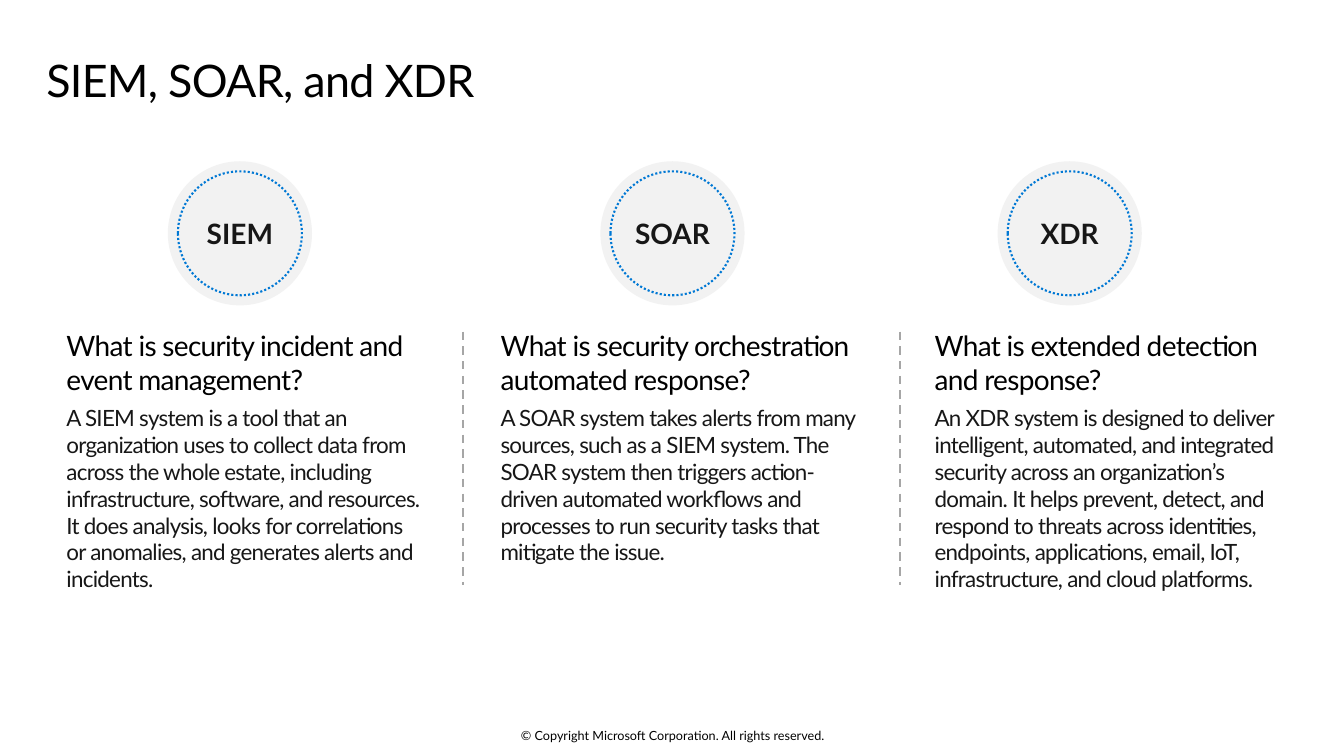
from lxml import etree
from pptx import Presentation
from pptx.dml.color import RGBColor
from pptx.enum.dml import MSO_LINE
from pptx.enum.shapes import MSO_CONNECTOR, MSO_SHAPE
from pptx.enum.text import MSO_ANCHOR, PP_ALIGN
from pptx.oxml.ns import qn
from pptx.util import Inches, Pt

OVAL = MSO_SHAPE.OVAL
STRAIGHT = MSO_CONNECTOR.STRAIGHT
DOTTED, DASHED = MSO_LINE.ROUND_DOT, MSO_LINE.DASH
TOP, MIDDLE = MSO_ANCHOR.TOP, MSO_ANCHOR.MIDDLE
LEFT, CENTER = PP_ALIGN.LEFT, PP_ALIGN.CENTER

# Content
TITLE = "SIEM, SOAR, and XDR"
COPYRIGHT = "© Copyright Microsoft Corporation. All rights reserved."
# Label, badge centre, heading, explanation
TOPICS = [
    ("SIEM", 2.38, "What is security incident and event management?",
     "A SIEM system is a tool that an organization uses to collect data from "
     "across the whole estate, including infrastructure, software, and resources. "
     "It does analysis, looks for correlations or anomalies, and generates alerts "
     "and incidents."),
    ("SOAR", 6.67, "What is security orchestration automated response?",
     "A SOAR system takes alerts from many sources, such as a SIEM system. The SOAR "
     "system then triggers action-driven automated workflows and processes to run "
     "security tasks that mitigate the issue."),
    ("XDR", 10.61, "What is extended detection and response?",
     "An XDR system is designed to deliver intelligent, automated, and integrated "
     "security across an organization’s domain. It helps prevent, detect, and "
     "respond to threats across identities, endpoints, applications, email, IoT, "
     "infrastructure, and cloud platforms."),
]

# Style and layout
FONT = "Lato"
BLACK, INK, PALE, BLUE, GREY = "000000", "171717", "F2F2F2", "0078D4", "A6A6A6"
COLUMN_LEFT, COLUMN_STEP, COLUMN_WIDTH = 0.66, 4.305, 3.56
DIVIDER_LEFT, DIVIDER_STEP = 4.59, 4.34
BADGE_MIDDLE, DISC_SIZE, RING_SIZE = 2.315, 1.43, 1.23
LABEL_WIDTH = 2.1


def color(code):
    return RGBColor.from_string(code)


def add_text(page, left, top, width, height, rows, insets, align=LEFT, anchor=TOP):
    """Rows hold text, size, colour, bold and letter spacing in points."""
    box = page.shapes.add_textbox(*map(Inches, (left, top, width, height)))
    frame = box.text_frame
    frame.word_wrap = True
    frame.vertical_anchor = anchor
    (frame.margin_left, frame.margin_top,
     frame.margin_right, frame.margin_bottom) = map(Inches, insets)
    for index, (text, size, ink, bold, spacing) in enumerate(rows):
        para = frame.add_paragraph() if index else frame.paragraphs[0]
        span = para.add_run()
        span.text = text
        para.alignment = align
        para.font.name, para.font.size, para.font.bold = FONT, Pt(size), bold
        para.font.color.rgb = color(ink)
        if spacing:
            span.font._element.set("spc", str(int(spacing * 100)))
    return frame


def add_circle(group, center, size):
    circle = group.shapes.add_shape(
        OVAL, Inches(center - size / 2), Inches(BADGE_MIDDLE - size / 2),
        Inches(size), Inches(size))
    circle.shadow.inherit = False
    return circle


def add_badge(page, center, label):
    group = page.shapes.add_group_shape()
    disc = add_circle(group, center, DISC_SIZE)
    disc.fill.solid()
    disc.fill.fore_color.rgb = color(PALE)
    disc.line.fill.background()
    ring = add_circle(group, center, RING_SIZE)
    ring.fill.background()
    style_line(ring.line, BLUE, DOTTED)
    add_text(page, center - LABEL_WIDTH / 2, 2.05, LABEL_WIDTH, 0.54,
             [(label, 20, INK, True, 0)], (0.15, 0.1, 0.15, 0.1), CENTER)


def style_line(line, ink, dash):
    line.color.rgb = color(ink)
    line.width = Pt(1.5)
    line.dash_style = dash


def add_divider(page, left):
    divider = page.shapes.add_connector(
        STRAIGHT, Inches(left), Inches(3.29), Inches(left), Inches(5.8))
    style_line(divider.line, GREY, DASHED)
    etree.SubElement(divider._element.spPr, qn("a:effectLst"))


def main():
    deck = Presentation()
    deck.slide_width, deck.slide_height = Inches(13.33), Inches(7.5)
    page = deck.slides.add_slide(deck.slide_layouts[6])

    # Copyright line and title
    add_text(page, 4.42, 7.22, 4.5, 0.15, [(COPYRIGHT, 9, BLACK, False, 0)],
             (0, 0, 0, 0), CENTER, MIDDLE)
    title = add_text(page, 0.46, 0.48, 12.4, 0.74,
                     [(TITLE, 32, BLACK, False, -0.5)], (0, 0.1, 0.16, 0.1))
    title.paragraphs[0].line_spacing = 0.9

    # Topic columns
    for index, (label, center, heading, explanation) in enumerate(TOPICS):
        add_badge(page, center, label)
        column = add_text(
            page, COLUMN_LEFT + index * COLUMN_STEP, 3.16, COLUMN_WIDTH, 2.86,
            [(heading, 20, BLACK, False, -0.5), (explanation, 16, INK, False, -0.5)],
            (0, 0.1, 0, 0.1))
        column.paragraphs[0].space_after = Pt(4)
        column.paragraphs[1].space_before = Pt(2)

    # Dividers between columns
    for index in range(len(TOPICS) - 1):
        add_divider(page, DIVIDER_LEFT + index * DIVIDER_STEP)

    deck.save("out.pptx")


if __name__ == "__main__":
    main()
